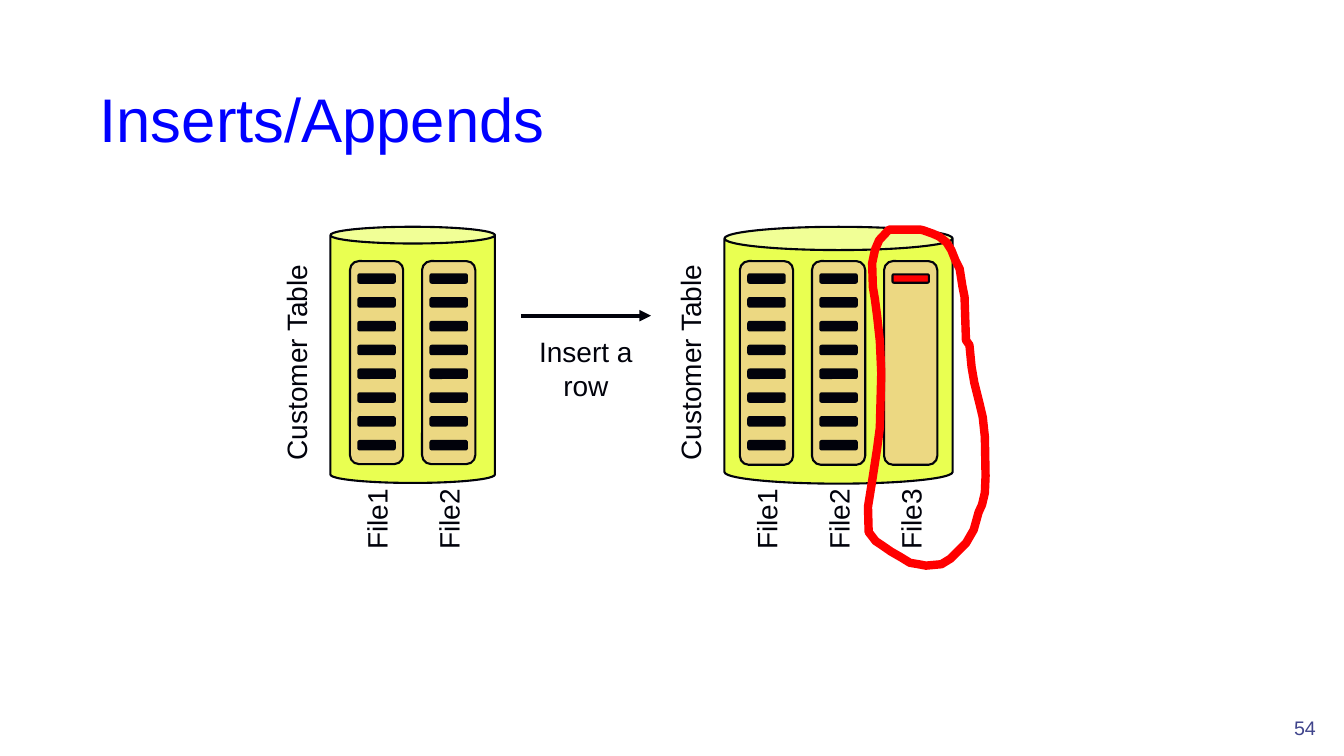
from lxml.etree import SubElement
from pptx import Presentation
from pptx.dml.color import RGBColor
from pptx.enum.shapes import MSO_CONNECTOR, MSO_SHAPE
from pptx.enum.text import MSO_ANCHOR, PP_ALIGN
from pptx.oxml.ns import qn
from pptx.util import Pt

COLORS = {"ink": "01020B", "cylinder": "E9FF51", "file": "ECD882",
          "red": "FF0000", "title": "0000FF", "number": "40458C"}

# Outline of the hand-drawn ring, relative to its top left corner
RING = [(70, 79), (69, 48), (67.5, 40.5), (65.5, 28), (62.5, 22), (59.5, 14.5),
        (56, 9), (51, 5), (46.5, 3), (39.5, 0.5), (37.5, 0), (15, 0), (8, 7.5),
        (5, 14.5), (3, 24), (3.5, 41), (5, 50), (6.5, 61.5), (8.5, 79.5),
        (9.5, 102.5), (8.5, 141.5), (6.5, 156.5), (3, 179.5), (0, 198),
        (0.5, 216), (5.5, 222.5), (10, 225.5), (16.5, 230), (23.5, 234),
        (30, 238), (36, 239), (41.5, 240), (52.5, 239), (59, 235), (70, 224),
        (75.5, 214.5), (77.5, 207.5), (79, 202), (81.5, 196.5), (83.5, 188),
        (84, 176), (83.5, 148), (82, 134), (80, 125.5), (76, 109.5),
        (74, 98), (72.5, 82.5)]


def rgb(name):
    return RGBColor.from_string(COLORS[name])


def format_text(tf, size, color, align):
    for p in tf.paragraphs:
        p.alignment = align
        for r in p.runs:
            r.font.name = "Arial"
            r.font.size = Pt(size)
            r.font.color.rgb = rgb(color)


def add_text(shapes, text, box, size=20, color="ink", align=PP_ALIGN.CENTER,
             wrap=False, anchor=MSO_ANCHOR.TOP):
    tb = shapes.add_textbox(*map(Pt, box))
    tf = tb.text_frame
    tf.text = text
    tf.word_wrap = wrap
    tf.vertical_anchor = anchor
    format_text(tf, size, color, align)
    return tb


def add_vertical_label(shapes, text, center_x, center_y, width):
    height = 31.5
    box = (center_x - width / 2, center_y - height / 2, width, height)
    add_text(shapes, text, box).rotation = 270


def add_block(shapes, kind, box, fill):
    sp = shapes.add_shape(kind, *map(Pt, box))
    sp.shadow.inherit = False
    sp.fill.solid()
    sp.fill.fore_color.rgb = rgb(fill)
    sp.line.color.rgb = rgb("ink")
    sp.line.width = Pt(1.5)
    return sp


def add_file(shapes, name, left, top, height, row_count, row_color):
    width, row_w, row_h, row_pitch = 38, 26, 6, 17
    add_vertical_label(shapes, name, left + width / 2, top + 184.5, 58)
    add_block(shapes, MSO_SHAPE.ROUNDED_RECTANGLE, (left, top, width, height), "file")
    for i in range(row_count):
        row = (left + (width - row_w) / 2, top + 9.5 + i * row_pitch, row_w, row_h)
        add_block(shapes, MSO_SHAPE.ROUNDED_RECTANGLE, row, row_color)


def add_table_store(s, box, files):
    """Cylinder with its vertical caption and evenly pitched, centred files."""
    left, top, width, height = box
    add_vertical_label(s.shapes, "Customer Table", left - 24.5, top + 97, 155.5)
    shapes = s.shapes.add_group_shape().shapes
    add_block(shapes, MSO_SHAPE.CAN, box, "cylinder").adjustments[0] = 0.102
    pitch, file_w = 51.5, 38
    first = left + (width - file_w - pitch * (len(files) - 1)) / 2
    for i, (name, row_count, row_color) in enumerate(files):
        add_file(shapes, name, first + i * pitch, top + 24.5, height - 38,
                 row_count, row_color)


def add_insert_step(s, box):
    """Arrow on top, with its caption underneath."""
    left, top, width, height = box
    arrow = s.shapes.add_connector(MSO_CONNECTOR.STRAIGHT, Pt(left), Pt(top),
                                   Pt(left + width), Pt(top))
    arrow.line.color.rgb = rgb("ink")
    arrow.line.width = Pt(2.75)
    SubElement(arrow.line._get_or_add_ln(), qn("a:tailEnd"), type="triangle")
    SubElement(arrow._element.spPr, qn("a:effectLst"))
    add_text(s.shapes, "Insert a\nrow", (left + 3, top + 10, width - 6, height - 10))


def add_ring(s, left, top):
    points = [(Pt(left + x), Pt(top + y)) for x, y in RING]
    builder = s.shapes.build_freeform(*points[0])
    builder.add_line_segments(points[1:], close=True)
    sp = builder.convert_to_shape()
    sp.shadow.inherit = False
    sp.fill.background()
    sp.line.color.rgb = rgb("red")
    sp.line.width = Pt(6)
    SubElement(sp.line._get_or_add_ln(), qn("a:round"))


def add_title(s, text, box):
    title = s.shapes.title
    title.left, title.top, title.width, title.height = map(Pt, box)
    title.text_frame.text = text
    title.text_frame.vertical_anchor = MSO_ANCHOR.BOTTOM
    format_text(title.text_frame, 44, "title", PP_ALIGN.LEFT)


def main():
    prs = Presentation()
    prs.slide_width, prs.slide_height = Pt(960), Pt(540)
    s = prs.slides.add_slide(prs.slide_layouts[5])
    add_title(s, "Inserts/Appends", (64, 24, 816, 90))

    # Table before and after the insert
    full_files = [("File1", 8, "ink"), ("File2", 8, "ink")]
    add_table_store(s, (236, 162, 117.5, 183), full_files)
    add_insert_step(s, (372, 225.5, 93, 65.5))
    add_table_store(s, (517.5, 162, 163, 183.5), full_files + [("File3", 1, "red")])

    # Ring around the new file
    add_ring(s, 620, 164)

    # Slide number
    add_text(s.shapes, "54", (874, 495.5, 73, 36), 14, "number",
             PP_ALIGN.RIGHT, True, MSO_ANCHOR.BOTTOM)
    prs.save("out.pptx")


if __name__ == "__main__":
    main()
